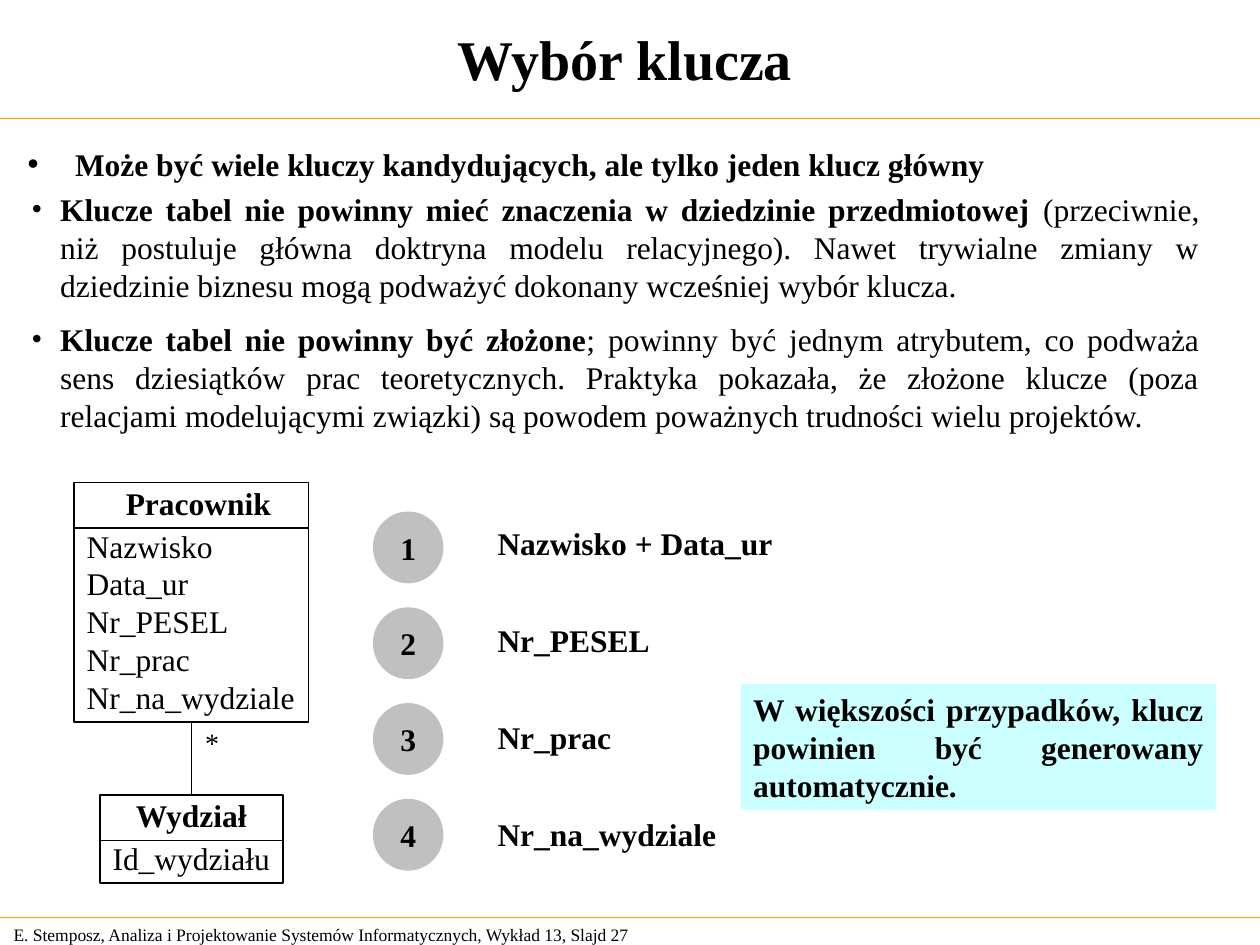
from dataclasses import dataclass
from typing import NamedTuple

from lxml.etree import SubElement
from pptx import Presentation
from pptx.dml.color import RGBColor
from pptx.enum.shapes import MSO_CONNECTOR, MSO_SHAPE
from pptx.enum.text import MSO_ANCHOR, MSO_AUTO_SIZE, PP_ALIGN
from pptx.oxml.ns import qn
from pptx.util import Emu, Inches, Pt

WIDE, HIGH = Inches(10), Inches(7.5)
COL, ROW = WIDE / 100, HIGH / 75  # grid of 100 columns and 75 rows


@dataclass(frozen=True)
class Theme:
    font: str = "Times New Roman"
    ink: str = "000000"
    rule: str = "FF9900"
    paper: str = "FFFFFF"
    disc: str = "C0C0C0"
    note: str = "CCFFFF"
    head: int = 32
    text: int = 18
    mark: int = 16
    foot: int = 10


class Box(NamedTuple):
    x: float
    y: float
    w: float
    h: float


class Entity(NamedTuple):
    name: str
    fields: tuple
    box: Box
    title: Box
    split: float
    fill: str | None


THEME = Theme()
KEYS = ("Nazwisko + Data_ur", "Nr_PESEL", "Nr_prac", "Nr_na_wydziale")
STAFF = Entity("Pracownik",
               ("Nazwisko", "Data_ur", "Nr_PESEL", "Nr_prac", "Nr_na_wydziale"),
               Box(5.9, 38.3, 18.6, 19), Box(9, 37.9, 13.5, 4), 41.9, None)
UNIT = Entity("Wydział", ("Id_wydziału",),
              Box(7.95, 63.1, 14.5, 7), Box(9.8, 62.7, 10.9, 4), 66.7, THEME.paper)
RULES = (
    ("Klucze tabel nie powinny mieć znaczenia w dziedzinie przedmiotowej",
     " (przeciwnie, niż postuluje główna doktryna modelu relacyjnego). Nawet "
     "trywialne zmiany w dziedzinie biznesu mogą podważyć dokonany wcześniej "
     "wybór klucza."),
    ("Klucze tabel nie powinny być złożone",
     "; powinny być jednym atrybutem, co podważa sens dziesiątków prac "
     "teoretycznych. Praktyka pokazała, że złożone klucze (poza relacjami "
     "modelującymi związki) są powodem poważnych trudności wielu projektów."),
)


def place(box: Box) -> tuple:
    return (Emu(round(box.x * COL)), Emu(round(box.y * ROW)),
            Emu(round(box.w * COL)), Emu(round(box.h * ROW)))


def move(shape, box: Box) -> None:
    shape.left, shape.top, shape.width, shape.height = place(box)


def style(para, size: int, bold: bool | None = None, align=PP_ALIGN.LEFT) -> None:
    para.alignment = align
    font = para.font
    font.name, font.size, font.bold = THEME.font, Pt(size), bold
    font.color.rgb = RGBColor.from_string(THEME.ink)


def bullet(para, dent: float) -> None:
    props = para._p.get_or_add_pPr()
    props.set("marL", str(Inches(dent)))
    props.set("indent", str(-Inches(dent)))
    SubElement(props, qn("a:buFont")).set("typeface", THEME.font)
    SubElement(props, qn("a:buChar")).set("char", "•")


def write(shape, lines: tuple, size: int, bold: bool = False,
          align=PP_ALIGN.LEFT, wrap: bool = True, anchor=MSO_ANCHOR.TOP) -> None:
    frame = shape.text_frame
    frame.text = "\n".join(lines)
    frame.word_wrap, frame.vertical_anchor = wrap, anchor
    frame.auto_size = MSO_AUTO_SIZE.NONE
    for para in frame.paragraphs:
        style(para, size, bold, align)


def label(slide, text: str, box: Box, size: int = THEME.text,
          bold: bool = True, **opts) -> None:
    write(slide.shapes.add_textbox(*place(box)), (text,), size, bold, **opts)


def block(slide, kind, box: Box, fill: str | None, line: str | None = None):
    shape = slide.shapes.add_shape(kind, *place(box))
    shape.shadow.inherit = False
    if fill:
        shape.fill.solid()
        shape.fill.fore_color.rgb = RGBColor.from_string(fill)
    else:
        shape.fill.background()
    if line:
        shape.line.color.rgb = RGBColor.from_string(line)
        shape.line.width = Pt(1)
    else:
        shape.line.fill.background()
    return shape


def rule(slide, x: float, y: float, w: float, color: str, width: float):
    left, top, run, _ = place(Box(x, y, w, 0))
    line = slide.shapes.add_connector(MSO_CONNECTOR.STRAIGHT,
                                      left, top, left + run, top)
    line.line.color.rgb = RGBColor.from_string(color)
    line.line.width = Pt(width)
    SubElement(line._element.spPr, qn("a:effectLst"))
    return line


def entity(slide, item: Entity):
    box = item.box
    shape = block(slide, MSO_SHAPE.RECTANGLE, box, item.fill, THEME.ink)
    write(shape, item.fields, THEME.text, wrap=False)
    shape.text_frame.margin_top = Inches(0.35)
    rule(slide, box.x, item.split, box.w, THEME.ink, 1)
    label(slide, item.name, item.title, wrap=False)
    return shape


def main() -> None:
    deck = Presentation()
    deck.slide_width, deck.slide_height = WIDE, HIGH
    slide = deck.slides.add_slide(deck.slide_layouts[1])
    title, body = slide.placeholders

    # Frame: rules and footer
    for y in (9.4, 72.8):
        rule(slide, 0, y, 100, THEME.rule, 0.75)
    label(slide, "E. Stemposz, Analiza i Projektowanie Systemów Informatycznych, "
          "Wykład 13, Slajd 27", Box(0.1, 72.8, 60, 2.7), THEME.foot, False,
          anchor=MSO_ANCHOR.MIDDLE)

    # Title and lead point
    move(title, Box(0, 1.2, 99.2, 6.8))
    write(title, ("Wybór klucza",), THEME.head, True, PP_ALIGN.CENTER,
          anchor=MSO_ANCHOR.MIDDLE)
    move(body, Box(1.2, 11, 98.8, 4.1))
    lead = body.text_frame.paragraphs[0]
    bullet(lead, 0.26)
    write(body, ("Może być wiele kluczy kandydujących, ale tylko jeden klucz główny",),
          THEME.text, True)
    lead.line_spacing, lead.space_before = 0.9, Pt(0)

    # Rules for choosing keys
    frame = slide.shapes.add_textbox(*place(Box(1.5, 14.6, 94.7, 20.4))).text_frame
    frame.word_wrap = True
    for i, (claim, rest) in enumerate(RULES):
        para = frame.add_paragraph() if i else frame.paragraphs[0]
        bullet(para, 0.23)
        style(para, THEME.text, align=PP_ALIGN.JUSTIFY)
        para.space_before = Pt(9.5 * i)
        para.add_run().text = claim
        para.runs[0].font.bold = True
        para.add_run().text = rest

    # Entity diagram
    staff, unit = entity(slide, STAFF), entity(slide, UNIT)
    link = rule(slide, 15.2, 63.1, 0, THEME.ink, 1)
    link.begin_connect(unit, 0)
    link.end_connect(staff, 2)
    label(slide, "*", Box(15.3, 57.1, 3.1, 3.7), THEME.mark, False, wrap=False)

    # Numbered candidate keys
    for i, key in enumerate(KEYS):
        disc = block(slide, MSO_SHAPE.OVAL,
                     Box(29.6, 40.6 + 7.6 * i, 5.6, 5.7), THEME.disc)
        write(disc, (str(i + 1),), THEME.text, True, PP_ALIGN.CENTER, False,
              MSO_ANCHOR.MIDDLE)
        label(slide, key, Box(38.5, 41.1 + 7.7 * i, 23.8, 4), wrap=False)

    # Advice
    note = block(slide, MSO_SHAPE.RECTANGLE, Box(58.8, 54.3, 37.7, 10), THEME.note)
    write(note, ("W większości przypadków, klucz powinien być generowany "
                 "automatycznie.",), THEME.text, True, PP_ALIGN.JUSTIFY)

    deck.save("out.pptx")


if __name__ == "__main__":
    main()
